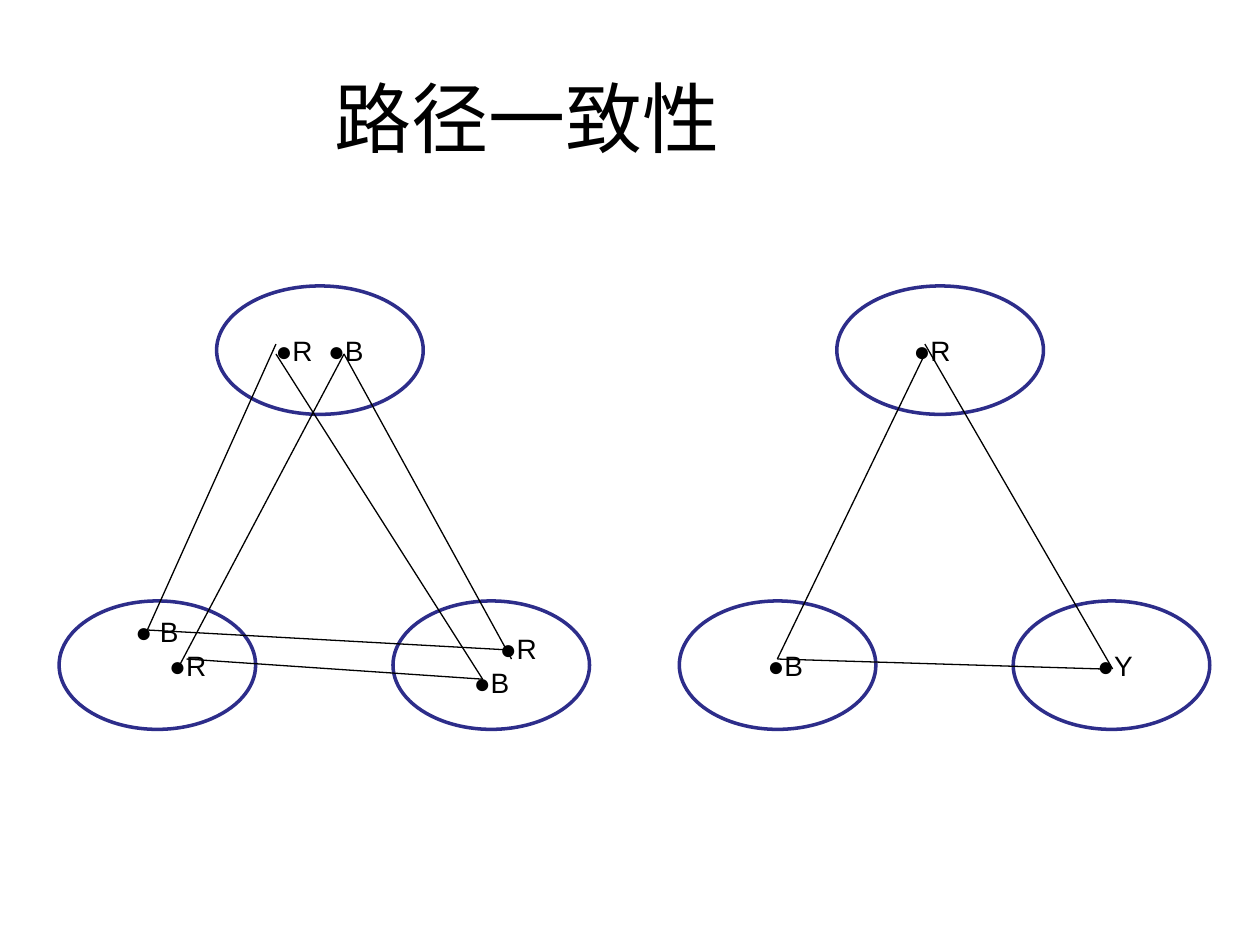
from pptx import Presentation
from pptx.dml.color import RGBColor
from pptx.enum import shapes, text
from pptx.oxml import ns
from pptx.util import Pt
from lxml import etree

FONT = "Arial"
BLACK, WHITE, NAVY = "000000", "FFFFFF", "2D2D8A"
GRAPH_STEP = 354.4
TOP_SIZE, BASE_SIZE = (118.1, 73.4), (112.3, 73.4)
TOP, LEFT, RIGHT = (123.8, 163.4), (33.8, 343.4), (224.6, 343.4)


def colour(value):
    return RGBColor.from_string(value)


def add_text(para, words, size=16, indent=0, gap=None):
    """Write left-aligned words; gap widens the single spaces, in points."""
    para.alignment = text.PP_ALIGN.LEFT
    properties = para._p.get_or_add_pPr()
    properties.set("marL", str(Pt(indent)))
    properties.set("indent", "0")
    pieces = words.partition(" ") if gap else [words]
    for piece in pieces:
        span = para.add_run()
        span.text = piece
        span.font.name = FONT
        span.font.size = Pt(size)
        span.font.color.rgb = colour(BLACK)
        if gap and piece == " ":
            span._r.get_or_add_rPr().set("spc", str(round(gap * 100)))


def add_title(page, words):
    title = page.shapes.title
    title.left, title.top, title.width, title.height = Pt(36), Pt(21.6), Pt(648), Pt(90)
    title.text_frame.vertical_anchor = text.MSO_ANCHOR.MIDDLE
    add_text(title.text_frame.paragraphs[0], words, size=44, indent=148)


def add_domain(page, corner, size, labels, shift=0, bottom=0, gap=None):
    """Draw a variable's ellipse with its values as (indent, words) lines."""
    (left, top), (width, height) = corner, size
    ellipse = page.shapes.add_shape(shapes.MSO_SHAPE.OVAL, Pt(left + shift), Pt(top),
                                    Pt(width), Pt(height))
    ellipse.shadow.inherit = False
    ellipse.fill.solid()
    ellipse.fill.fore_color.rgb = colour(WHITE)
    ellipse.line.color.rgb = colour(NAVY)
    ellipse.line.width = Pt(2)
    frame = ellipse.text_frame
    frame.word_wrap = True
    frame.vertical_anchor = text.MSO_ANCHOR.MIDDLE
    frame.margin_left = frame.margin_right = frame.margin_top = 0
    frame.margin_bottom = Pt(bottom)
    for number, (indent, words) in enumerate(labels):
        para = frame.add_paragraph() if number else frame.paragraphs[0]
        add_text(para, words, indent=indent, gap=gap)


def add_links(page, links):
    for start, end in links:
        line = page.shapes.add_connector(shapes.MSO_CONNECTOR.STRAIGHT,
                                         *map(Pt, start + end))
        line.line.color.rgb = colour(BLACK)
        line.line.width = Pt(0.75)
        etree.SubElement(line._element.spPr, ns.qn("a:effectLst"))


def add_two_value_graph(page):
    add_domain(page, TOP, TOP_SIZE, [(16.4, "●R ●B")], gap=4.45)
    add_domain(page, LEFT, BASE_SIZE, [(27.1, "● B"), (46.5, "●R")], bottom=19.4)
    add_domain(page, RIGHT, BASE_SIZE, [(44.6, "●R"), (29.8, "●B")])
    top_blue, left_blue, left_red = (196.6, 202.3), (84.2, 360), (101.5, 382.3)
    right_blue = (275.8, 388.1)
    add_links(page, [
        ((157.7, 196.6), left_blue),
        ((157.7, 202.3), right_blue),
        ((106.6, 376.6), right_blue),
        (top_blue, left_red),
        (top_blue, (292.3, 376.6)),
        (left_blue, (292.3, 371.5)),
    ])


def add_one_value_graph(page):
    add_domain(page, TOP, TOP_SIZE, [(26.6, "●R")], GRAPH_STEP)
    add_domain(page, LEFT, BASE_SIZE, [(34, "●B")], GRAPH_STEP)
    add_domain(page, RIGHT, BASE_SIZE, [(31.6, "●Y")], GRAPH_STEP)
    left_blue = (444.2, 376.6)
    add_links(page, [
        ((528.5, 202.3), left_blue),
        ((528.5, 196.6), (635.8, 382.3)),
        (left_blue, (630, 382.3)),
    ])


def main():
    deck = Presentation()
    deck.slide_width, deck.slide_height = Pt(720), Pt(540)
    page = deck.slides.add_slide(deck.slide_layouts[5])
    add_title(page, "路径一致性")
    add_two_value_graph(page)
    add_one_value_graph(page)
    deck.save("out.pptx")


if __name__ == "__main__":
    main()
